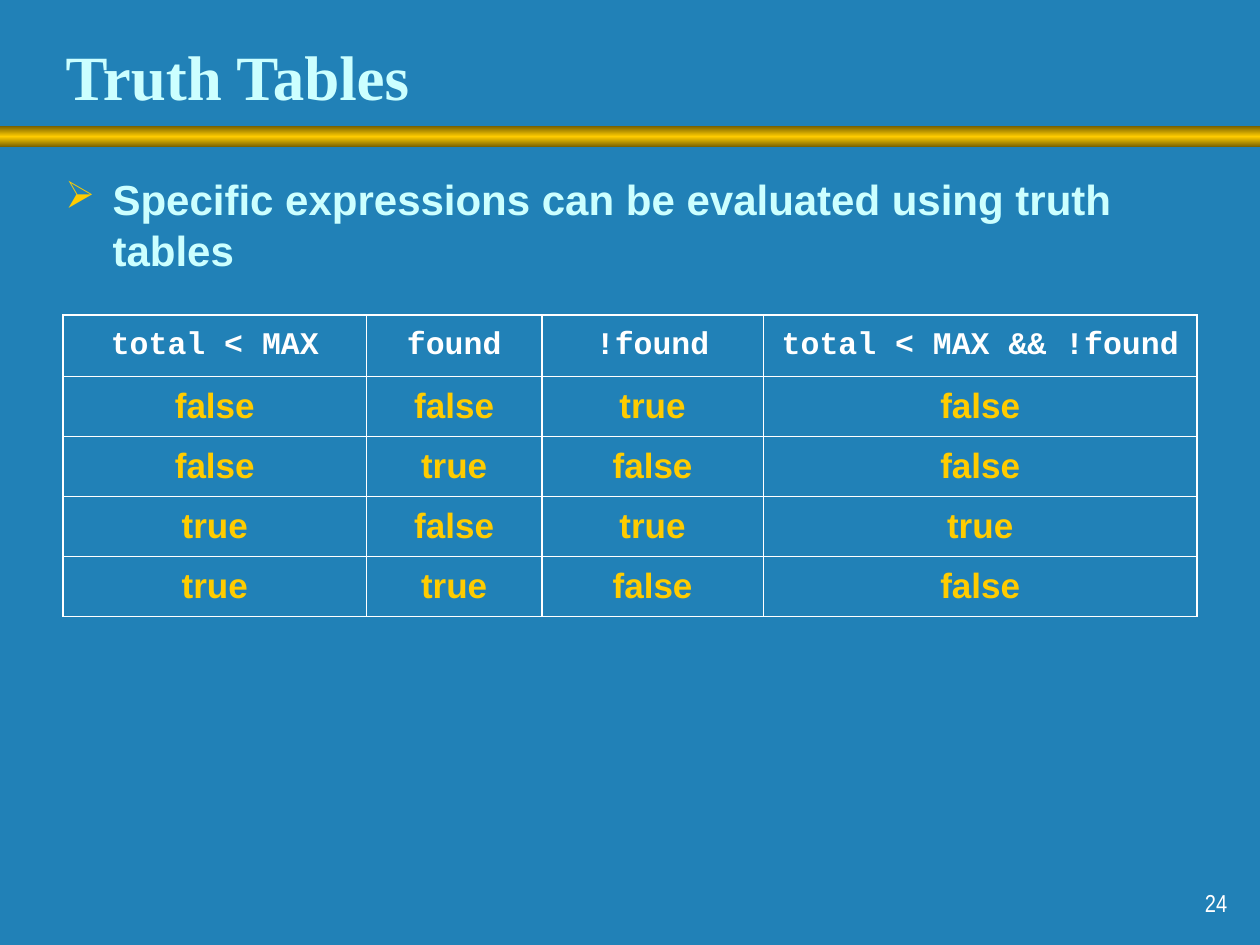
from copy import deepcopy

from lxml.etree import SubElement
from pptx import Presentation
from pptx.dml.color import RGBColor
from pptx.enum.shapes import MSO_SHAPE
from pptx.enum.text import MSO_ANCHOR, MSO_AUTO_SIZE, PP_ALIGN
from pptx.oxml.ns import qn
from pptx.util import Cm, Pt

# Content
TITLE = "Truth Tables"
BULLET = "Specific expressions can be evaluated using truth tables"
HEADER = ("total < MAX", "found", "!found", "total < MAX && !found")
ROWS = [
    ("false", "false", "true", "false"),
    ("false", "true", "false", "false"),
    ("true", "false", "true", "true"),
    ("true", "true", "false", "false"),
]
PAGE = "24"

# Look
BLUE = RGBColor(0x21, 0x81, 0xB7)
PALE = RGBColor(0xCC, 0xFF, 0xFF)
GOLD = RGBColor(0xFF, 0xCC, 0x00)
BRONZE = RGBColor(0x75, 0x5E, 0x00)
WHITE = RGBColor(0xFF, 0xFF, 0xFF)
COL_WIDTHS = (6.12, 3.53, 4.47, 8.74)
HEADER_HEIGHT, ROW_HEIGHT = 1.24, 1.21
THICK, THIN = Pt(1.08), Pt(0.45)


def write(tf, text, font, size, color, bold=True, align=PP_ALIGN.LEFT,
          before=0, anchor=MSO_ANCHOR.MIDDLE):
    tf.word_wrap = True
    tf.vertical_anchor = anchor
    p = tf.paragraphs[0]
    p.alignment = align
    p.space_before = Pt(before)
    r = p.add_run()
    r.text = text
    r.font.name = font
    r.font.size = Pt(size)
    r.font.bold = bold
    r.font.color.rgb = color
    return p


def set_bullet(p, char, color, percent, indent):
    pPr = p._p.get_or_add_pPr()
    pPr.set("marL", str(indent))
    pPr.set("indent", str(-indent))
    clr = SubElement(pPr, qn("a:buClr"))
    SubElement(clr, qn("a:srgbClr"), val=str(color))
    SubElement(pPr, qn("a:buSzPct"), val=str(percent * 1000))
    SubElement(pPr, qn("a:buChar"), char=char)


def set_borders(cell, color, left, right, top, bottom):
    tcPr = cell._tc.get_or_add_tcPr()
    for side, width in zip("LRTB", (left, right, top, bottom)):
        ln = SubElement(tcPr, qn(f"a:ln{side}"), w=str(width))
        fill = SubElement(ln, qn("a:solidFill"))
        SubElement(fill, qn("a:srgbClr"), val=str(color))


prs = Presentation()
prs.slide_width, prs.slide_height = Cm(25.4), Cm(19.05)
s = prs.slides.add_slide(prs.slide_layouts[5])
s.background.fill.solid()
s.background.fill.fore_color.rgb = BLUE

# Gold band, dark at both edges
band = s.shapes.add_shape(MSO_SHAPE.RECTANGLE, 0, Cm(2.54), prs.slide_width, Cm(0.43))
band.shadow.inherit = False
band.line.fill.background()
band.fill.gradient()
band.fill.gradient_angle = 90
edge, middle = band.fill.gradient_stops
edge.color.rgb, edge.position = BRONZE, 0
middle.color.rgb, middle.position = GOLD, 0.5
gs_list = band._element.spPr.find(".//" + qn("a:gsLst"))
gs_list.append(deepcopy(gs_list[0]))
band.fill.gradient_stops[2].position = 1

# Title
title = s.shapes.title
title.left, title.top, title.width, title.height = Cm(1.07), Cm(0.56), Cm(21.72), Cm(1.9)
title.text_frame.auto_size = MSO_AUTO_SIZE.NONE
write(title.text_frame, TITLE, "Times New Roman", 36, PALE)

# Bullet
sp = s.shapes.add_textbox(Cm(1.07), Cm(3.38), Cm(23.06), Cm(2.34))
p = write(sp.text_frame, BULLET, "Arial", 24, PALE, before=6, anchor=MSO_ANCHOR.TOP)
set_bullet(p, "➢", GOLD, 90, Cm(0.95))

# Truth table
height = HEADER_HEIGHT + ROW_HEIGHT * len(ROWS)
table = s.shapes.add_table(len(ROWS) + 1, len(HEADER), Cm(1.27), Cm(6.35),
                           Cm(sum(COL_WIDTHS)), Cm(height)).table
table.first_row = table.horz_banding = False
for col, width in zip(table.columns, COL_WIDTHS):
    col.width = Cm(width)
for i, values in enumerate([HEADER] + ROWS):
    table.rows[i].height = Cm(ROW_HEIGHT if i else HEADER_HEIGHT)
    for j, value in enumerate(values):
        cell = table.cell(i, j)
        # Columns pair up: thick outer sides, thin line between
        left, right = (THIN, THICK) if j % 2 else (THICK, THIN)
        top = THICK if i <= 1 else THIN
        bottom = THICK if i in (0, len(ROWS)) else THIN
        set_borders(cell, WHITE, left, right, top, bottom)
        cell.fill.background()
        cell.vertical_anchor = MSO_ANCHOR.MIDDLE
        font, size, color, before = ("Arial", 20, GOLD, 5) if i else ("Courier New", 18, WHITE, 4.5)
        write(cell.text_frame, value, font, size, color, align=PP_ALIGN.CENTER,
              before=before, anchor=None)

# Page number
sp = s.shapes.add_textbox(Cm(19.71), Cm(17.35), Cm(5.28), Cm(1.27))
write(sp.text_frame, PAGE, "Arial Narrow", 14, WHITE, bold=False,
      align=PP_ALIGN.RIGHT, before=8.8, anchor=MSO_ANCHOR.BOTTOM)

prs.save("out.pptx")
